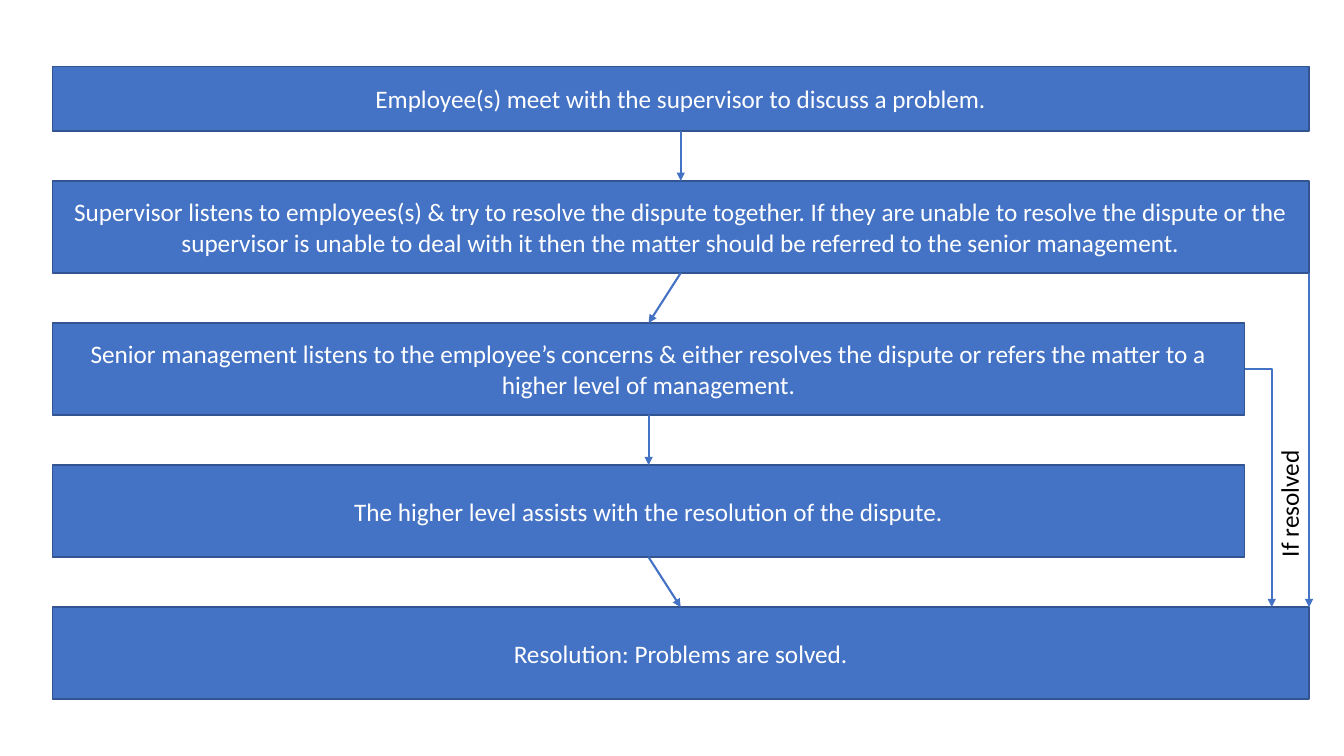
from itertools import pairwise

from lxml import etree
from pptx import Presentation
from pptx.dml.color import RGBColor
from pptx.enum import shapes, text
from pptx.oxml import ns
from pptx.util import Cm, Pt

BLUE = RGBColor(0x44, 0x72, 0xC4)
DARK_BLUE = RGBColor(0x32, 0x54, 0x91)
WHITE = RGBColor(0xFF, 0xFF, 0xFF)
BLACK = RGBColor(0, 0, 0)

LEFT, TOP, GAP = 1.32, 1.67, 1.26
WIDE, NARROW = 31.67, 30.05
LOW, TALL = 1.63, 2.32
TOP_SITE, BOTTOM_SITE, RIGHT_SITE = 0, 2, 3

STEPS = [
    ("Employee(s) meet with the supervisor to discuss a problem.", WIDE, LOW),
    ("Supervisor listens to employees(s) & try to resolve the dispute together. "
     "If they are unable to resolve the dispute or the supervisor is unable to "
     "deal with it then the matter should be referred to the senior management.",
     WIDE, TALL),
    ("Senior management listens to the employee’s concerns & either resolves the "
     "dispute or refers the matter to a higher level of management.", NARROW, TALL),
    ("The higher level assists with the resolution of the dispute.", NARROW, TALL),
    ("Resolution: Problems are solved.", WIDE, TALL),
]


def write(holder, words, color=WHITE, size=18, align=text.PP_ALIGN.CENTER,
          anchor=text.MSO_ANCHOR.MIDDLE, wrap=True):
    """Put formatted words into a shape."""
    frame = holder.text_frame
    frame.word_wrap = wrap
    frame.vertical_anchor = anchor
    paragraph = frame.paragraphs[0]
    paragraph.alignment = align
    run = paragraph.add_run()
    run.text = words
    run.font.name = "Calibri"
    run.font.size = Pt(size)
    run.font.color.rgb = color


def add_arrow(kind, start, end):
    """Draw a blue arrow between two points given in centimetres."""
    arrow = slide.shapes.add_connector(kind, *(Cm(v) for v in (*start, *end)))
    arrow.line.color.rgb = BLUE
    arrow.line.width = Pt(1.5)
    etree.SubElement(arrow.line._get_or_add_ln(), ns.qn("a:tailEnd"), type="triangle")
    etree.SubElement(arrow._element.spPr, ns.qn("a:effectLst"))
    return arrow


deck = Presentation()
deck.slide_width, deck.slide_height = Cm(33.87), Cm(19.05)
slide = deck.slides.add_slide(deck.slide_layouts[6])

# Procedure steps, stacked with equal gaps
steps = []
top = TOP
for words, width, height in STEPS:
    step = slide.shapes.add_shape(shapes.MSO_SHAPE.RECTANGLE,
                                  Cm(LEFT), Cm(top), Cm(width), Cm(height))
    step.shadow.inherit = False
    step.fill.solid()
    step.fill.fore_color.rgb = BLUE
    step.line.color.rgb = DARK_BLUE
    step.line.width = Pt(1)
    write(step, words)
    steps.append(step)
    top += height + GAP

# Arrows from each step to the next
for upper, lower in pairwise(steps):
    arrow = add_arrow(shapes.MSO_CONNECTOR.STRAIGHT, (0, 0), (1, 1))
    arrow.begin_connect(upper, BOTTOM_SITE)
    arrow.end_connect(lower, TOP_SITE)

# Shortcuts to the resolution
meeting, supervisor, senior, higher, resolution = steps
right = LEFT + WIDE
resolution_top = resolution.top.cm
add_arrow(shapes.MSO_CONNECTOR.STRAIGHT,
          (right, (supervisor.top + supervisor.height) / Cm(1)), (right, resolution_top))
senior_shortcut = add_arrow(shapes.MSO_CONNECTOR.ELBOW,
                            (LEFT + NARROW, senior.top.cm + TALL / 2),
                            (32.05, resolution_top))
senior_shortcut.begin_connect(senior, RIGHT_SITE)
senior_shortcut._element.spPr.find(ns.qn("a:prstGeom")).set("prst", "bentConnector2")

shortcut_label = slide.shapes.add_textbox(Cm(30.84), Cm(12.12), Cm(3.3), Cm(1.03))
shortcut_label.rotation = 270
write(shortcut_label, "If resolved", color=BLACK, align=text.PP_ALIGN.LEFT,
      anchor=text.MSO_ANCHOR.TOP)
shortcut_label.text_frame.auto_size = text.MSO_AUTO_SIZE.SHAPE_TO_FIT_TEXT

deck.save("out.pptx")
